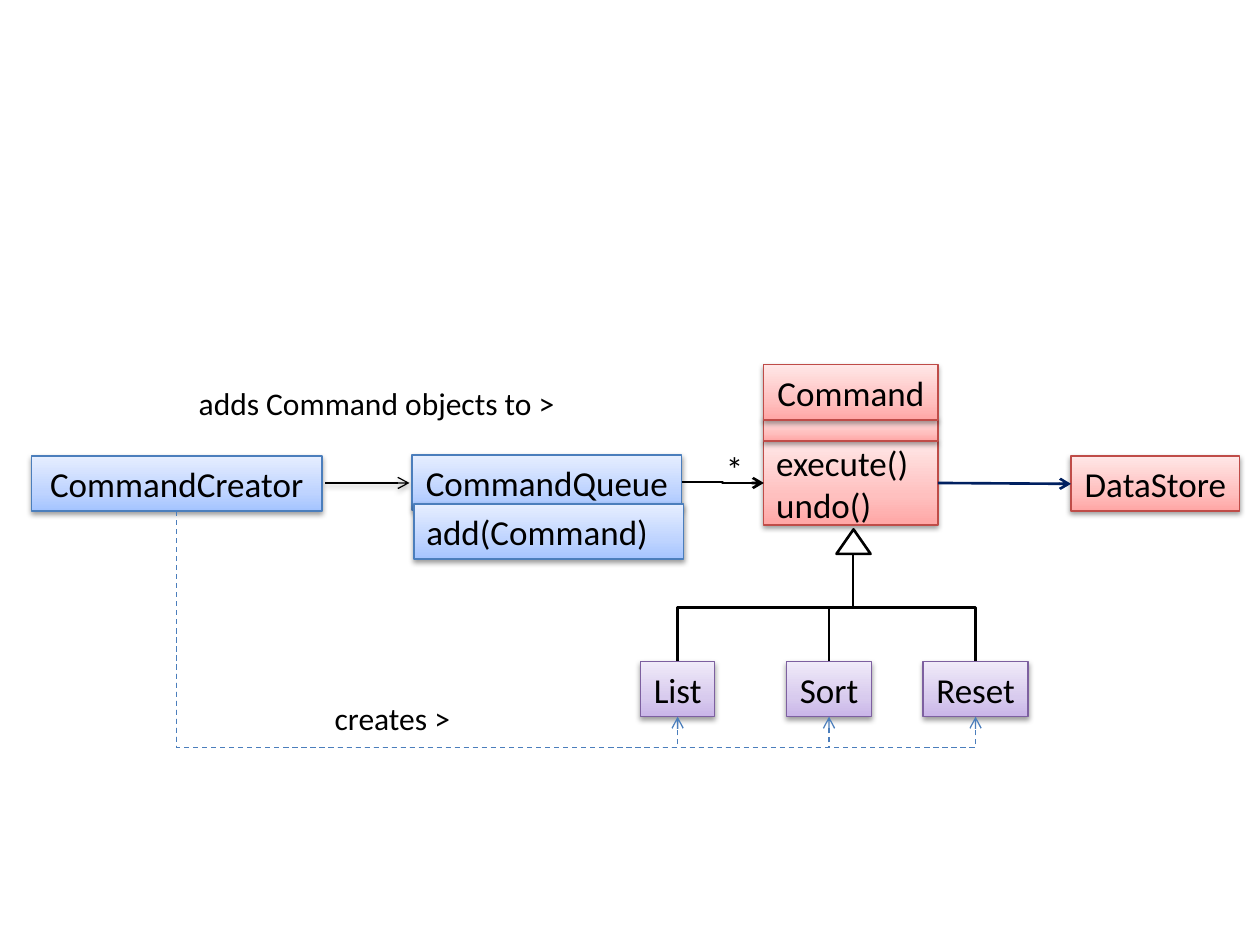
from copy import deepcopy

from lxml.etree import SubElement
from pptx import Presentation
from pptx.dml.color import RGBColor
from pptx.enum.dml import MSO_LINE
from pptx.enum.shapes import MSO_CONNECTOR as Route, MSO_SHAPE as Shape
from pptx.enum.text import MSO_ANCHOR as Anchor, MSO_AUTO_SIZE as Fit, PP_ALIGN as Align
from pptx.oxml.ns import qn
from pptx.util import Pt

BLACK = RGBColor(0x00, 0x00, 0x00)
NAVY = RGBColor(0x00, 0x20, 0x60)
BLUE_EDGE = RGBColor(0x4B, 0x7E, 0xBC)
BLUE = (BLUE_EDGE, RGBColor(0xA4, 0xC4, 0xFF), RGBColor(0xBF, 0xD4, 0xFF), RGBColor(0xE6, 0xEE, 0xFF))
RED = (RGBColor(0xBF, 0x4C, 0x48), RGBColor(0xFF, 0xA6, 0xA5), RGBColor(0xFF, 0xC0, 0xBF), RGBColor(0xFF, 0xE7, 0xE7))
PURPLE = (RGBColor(0x7D, 0x60, 0xA0), RGBColor(0xC9, 0xB5, 0xE8), RGBColor(0xD8, 0xCB, 0xEE), RGBColor(0xF0, 0xEA, 0xF9))

ROW_HEIGHT = 31.5
SUBCLASS_TOP = 378


def add_shadow(effects):
    shadow = SubElement(effects, qn("a:outerShdw"), blurRad=str(Pt(3.1)),
                        dist=str(Pt(1.6)), dir="5400000", rotWithShape="0")
    tint = SubElement(shadow, qn("a:srgbClr"), val=str(BLACK))
    SubElement(tint, qn("a:alpha"), val="38000")


def fill_gradient(shape, colors):
    shape.fill.gradient()
    shape.fill.gradient_angle = 90
    stops = shape.element.spPr.find(".//" + qn("a:gsLst"))
    stops.insert(1, deepcopy(stops[0]))
    for stop, position, color in zip(shape.fill.gradient_stops, (0, 0.35, 1), colors):
        stop.position = position
        stop.color.rgb = color


def write(shape, lines, size, align, fit=Fit.NONE, wrap=False):
    frame = shape.text_frame
    frame.text = "\n".join(lines)
    frame.word_wrap = wrap
    frame.auto_size = fit
    frame.vertical_anchor = Anchor.MIDDLE
    for paragraph in frame.paragraphs:
        paragraph.alignment = align
        paragraph.font.name = "Calibri"
        paragraph.font.size = Pt(size)
        paragraph.font.color.rgb = BLACK


def add_class_box(slide, left, top, width, palette, *lines,
                  height=ROW_HEIGHT, align=Align.CENTER):
    box = slide.shapes.add_shape(Shape.RECTANGLE, Pt(left), Pt(top), Pt(width), Pt(height))
    edge, *gradient = palette
    fill_gradient(box, gradient)
    box.line.color.rgb = edge
    box.line.width = Pt(0.75)
    box.shadow.inherit = False
    add_shadow(box.element.spPr.find(qn("a:effectLst")))
    if lines:
        write(box, lines, 20, align)


def add_label(slide, left, top, width, height, text, size, wrap=False):
    label = slide.shapes.add_textbox(Pt(left), Pt(top), Pt(width), Pt(height))
    write(label, [text], size, Align.CENTER, Fit.SHAPE_TO_FIT_TEXT, wrap)


def add_line(slide, start, end, color, width, route=Route.STRAIGHT,
             arrow=True, dashed=False, shadowed=False):
    line = slide.shapes.add_connector(route, *map(Pt, start + end))
    line.line.color.rgb = color
    line.line.width = Pt(width)
    if dashed:
        line.line.dash_style = MSO_LINE.DASH
    properties = line.element.spPr
    if arrow:
        SubElement(properties.find(qn("a:ln")), qn("a:tailEnd"), type="arrow")
    effects = SubElement(properties, qn("a:effectLst"))
    if shadowed:
        add_shadow(effects)
    return line


def add_vertical_elbow(slide, start, end, color, width, bend=0.5, **style):
    (x1, y1), (x2, y2) = start, end
    center_x, center_y = (x1 + x2) / 2, (y1 + y2) / 2
    half_drop, half_run = (y2 - y1) / 2, abs(x2 - x1) / 2
    elbow = add_line(slide, (center_x - half_drop, center_y - half_run),
                     (center_x + half_drop, center_y + half_run),
                     color, width, Route.ELBOW, **style)
    properties = elbow.element.spPr
    frame = properties.find(qn("a:xfrm"))
    if x2 < x1:
        frame.set("rot", "5400000")
    else:
        frame.set("rot", "16200000")
        frame.set("flipH", "1")
    adjustments = properties.find(qn("a:prstGeom")).find(qn("a:avLst"))
    SubElement(adjustments, qn("a:gd"), name="adj1", fmla=f"val {round(bend * 100000)}")


def add_inheritance_head(slide):
    head = slide.shapes.add_shape(Shape.ISOSCELES_TRIANGLE, Pt(478), Pt(302.5), Pt(19.5), Pt(14))
    head.fill.background()
    head.line.color.rgb = BLACK
    head.line.width = Pt(1.5)
    head.shadow.inherit = False


def main():
    deck = Presentation()
    deck.slide_width, deck.slide_height = Pt(720), Pt(540)
    slide = deck.slides.add_slide(deck.slide_layouts[6])

    subclasses = [("List", 366, 42.5), ("Sort", 449.5, 48.5), ("Reset", 527.5, 60)]
    centers = [left + width / 2 for _, left, width in subclasses]

    add_line(slide, (186, 276), (234, 276), BLACK, 0.75, shadowed=True)
    add_class_box(slide, 436.5, 252, 99.5, RED, "execute()", "undo()",
                  height=48, align=Align.LEFT)
    for name, left, width in subclasses:
        add_class_box(slide, left, SUBCLASS_TOP, width, PURPLE, name)
    add_inheritance_head(slide)
    for center in centers:
        add_vertical_elbow(slide, (487.5, 316.5), (center, SUBCLASS_TOP),
                           BLACK, 1.5, arrow=False)

    add_label(slide, 182.5, 396, 83.5, 29, "creates >", 18)
    add_class_box(slide, 235.5, 260, 154, BLUE, "CommandQueue")
    add_line(slide, (389.5, 275.5), (436.5, 276), BLACK, 1.5, Route.ELBOW)
    add_class_box(slide, 612, 260.5, 96.5, RED, "DataStore")
    add_line(slide, (536, 276), (612, 276.5), NAVY, 1.5)
    add_label(slide, 407.5, 252, 24.5, 31, "*", 20, wrap=True)

    add_class_box(slide, 436.5, 238.5, 99.5, RED, height=13.5)
    add_class_box(slide, 436.5, 208.5, 99.5, RED, "Command")
    add_class_box(slide, 18, 260.5, 166, BLUE, "CommandCreator")
    for center in centers:
        add_vertical_elbow(slide, (101, 292), (center, SUBCLASS_TOP + ROW_HEIGHT),
                           BLUE_EDGE, 0.75, bend=1.15, dashed=True)
    add_label(slide, 105, 216, 220.5, 29, "adds Command objects to >", 18)
    add_class_box(slide, 236.5, 288, 154, BLUE, "add(Command)", align=Align.LEFT)

    deck.save("out.pptx")


if __name__ == "__main__":
    main()
